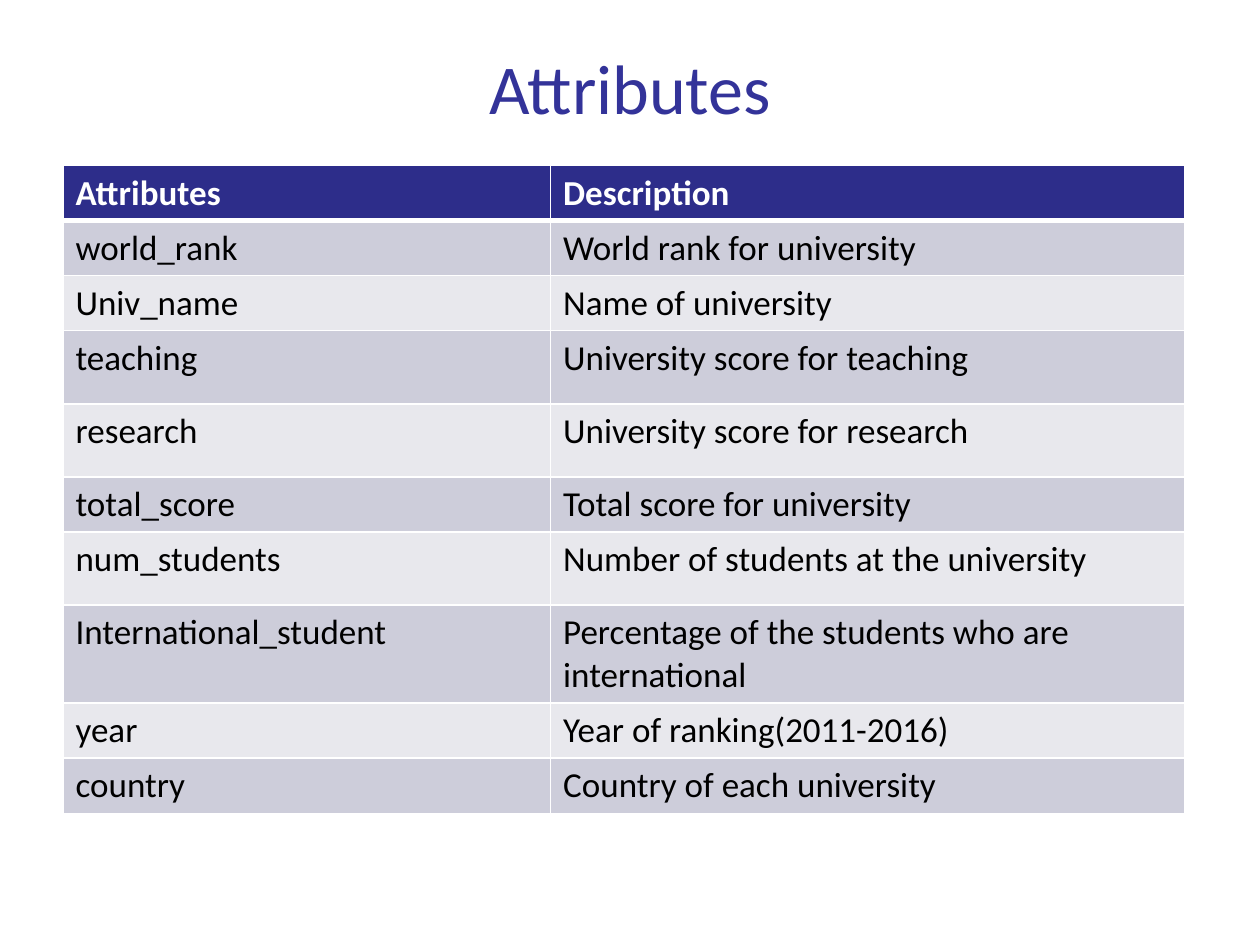
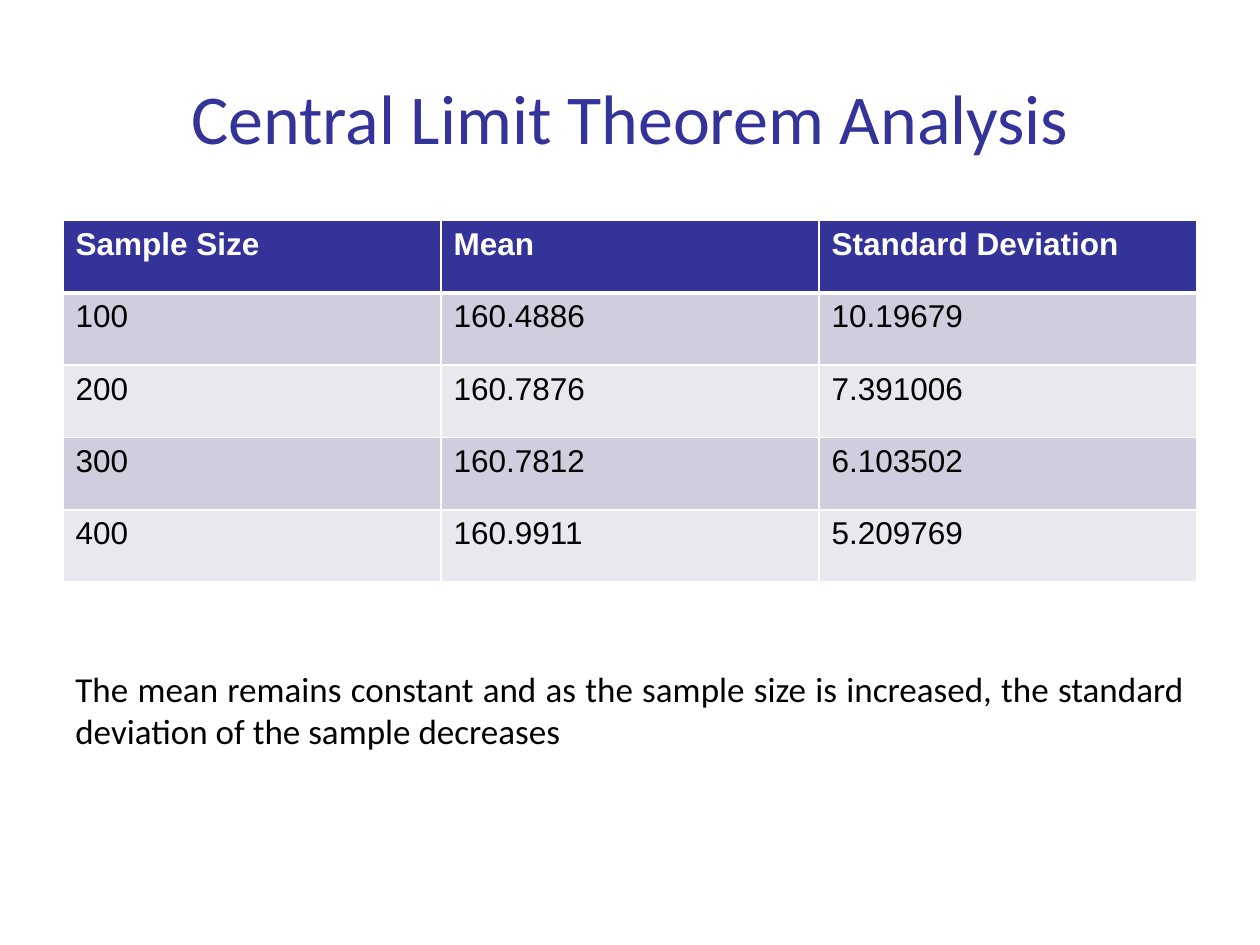
from lxml import etree
from pptx import Presentation
from pptx.dml.color import RGBColor
from pptx.enum import text as t
from pptx.oxml import ns
from pptx.util import Pt

WHITE = RGBColor(0xFF, 0xFF, 0xFF)
BLACK = RGBColor(0, 0, 0)
BLUE = RGBColor(0x33, 0x33, 0x99)
NAVY = RGBColor(0x2D, 0x2D, 0x8A)
# Each band set: odd body rows, even body rows
GREYS = RGBColor(0xCD, 0xCD, 0xDA), RGBColor(0xE8, 0xE8, 0xED)
LILACS = RGBColor(0xCE, 0xCE, 0xDE), RGBColor(0xE8, 0xE8, 0xEF)
LEFT, WIDE = 36, 648

FIELDS = [
    ("Attributes", "Description"),
    ("world_rank", "World rank for university"),
    ("Univ_name", "Name of university"),
    ("teaching", "University score for teaching"),
    ("research", "University score for research"),
    ("total_score", "Total score for university"),
    ("num_students", "Number of students at the university"),
    ("International_student",
     "Percentage of the students who are international"),
    ("year", "Year of ranking(2011-2016)"),
    ("country", "Country of each university"),
]
LOW, MID, TALL = 31.5, 41.76, 56
SAMPLES = [
    ("Sample Size", "Mean", "Standard Deviation"),
    ("100", "160.4886", "10.19679"),
    ("200", "160.7876", "7.391006"),
    ("300", "160.7812", "6.103502"),
    ("400", "160.9911", "5.209769"),
]


def write(frame, words, size=20, font="Calibri", color=BLACK, bold=False,
          align=t.PP_ALIGN.LEFT):
    para = frame.paragraphs[0]
    para.alignment = align
    run = para.add_run()
    run.text = words
    run.font.size = Pt(size)
    run.font.name = font
    run.font.color.rgb = color
    run.font.bold = bold


def add_text(slide, box, words, anchor=t.MSO_ANCHOR.TOP, **style):
    frame = slide.shapes.add_textbox(*map(Pt, box)).text_frame
    frame.word_wrap = True
    frame.vertical_anchor = anchor
    write(frame, words, **style)


def add_title(slide, words, top, high):
    add_text(slide, (LEFT, top, WIDE, high), words, t.MSO_ANCHOR.MIDDLE,
             size=40, color=BLUE, align=t.PP_ALIGN.CENTER)


def edge(cell, **widths):
    """Draw white cell borders; call before the fill is set."""
    props = cell._tc.get_or_add_tcPr()
    for side, width in widths.items():
        line = etree.SubElement(props, ns.qn(f"a:{side}"), w=str(Pt(width)))
        fill = etree.SubElement(line, ns.qn("a:solidFill"))
        etree.SubElement(fill, ns.qn("a:srgbClr"), val=str(WHITE))


def add_grid(slide, top, cols, highs, rows, head, bands, **style):
    """Place a banded table with a header row at the left margin."""
    box = LEFT, top, sum(cols), sum(highs)
    grid = slide.shapes.add_table(len(rows), len(cols), *map(Pt, box)).table
    for col, width in zip(grid.columns, cols):
        col.width = Pt(width)
    for r, (high, row) in enumerate(zip(highs, rows)):
        grid.rows[r].height = Pt(high)
        first = r == 0
        for c, words in enumerate(row):
            cell = grid.cell(r, c)
            edge(cell, lnL=1, lnR=1, lnT=3 if r == 1 else 1,
                 lnB=3 if first else 1)
            cell.fill.solid()
            cell.fill.fore_color.rgb = head if first else bands[(r - 1) % 2]
            write(cell.text_frame, words, bold=first,
                  color=WHITE if first else BLACK, **style)


def fields_slide(slide):
    add_title(slide, "Attributes", 27.36, 43.92)
    highs = [LOW] * 3 + [MID] * 2 + [LOW, MID, TALL] + [LOW] * 2
    add_grid(slide, 94.5, (278.64, 362.16), highs, FIELDS, NAVY, GREYS)


def limit_slide(slide):
    add_title(slide, "Central Limit Theorem Analysis", 21.6, 90)
    add_grid(slide, 126, [WIDE / 3] * 3, [41.33] * 5, SAMPLES, BLUE, LILACS,
             size=18, font="Arial")
    add_text(slide, (LEFT, 378, WIDE, 55.44),
             "The mean remains constant and as the sample size is increased, "
             "the standard deviation of the sample decreases",
             align=t.PP_ALIGN.JUSTIFY)


def main():
    deck = Presentation()
    deck.slide_width, deck.slide_height = Pt(720), Pt(540)
    for build in (fields_slide, limit_slide):
        build(deck.slides.add_slide(deck.slide_layouts[6]))
    deck.save("out.pptx")


if __name__ == "__main__":
    main()
